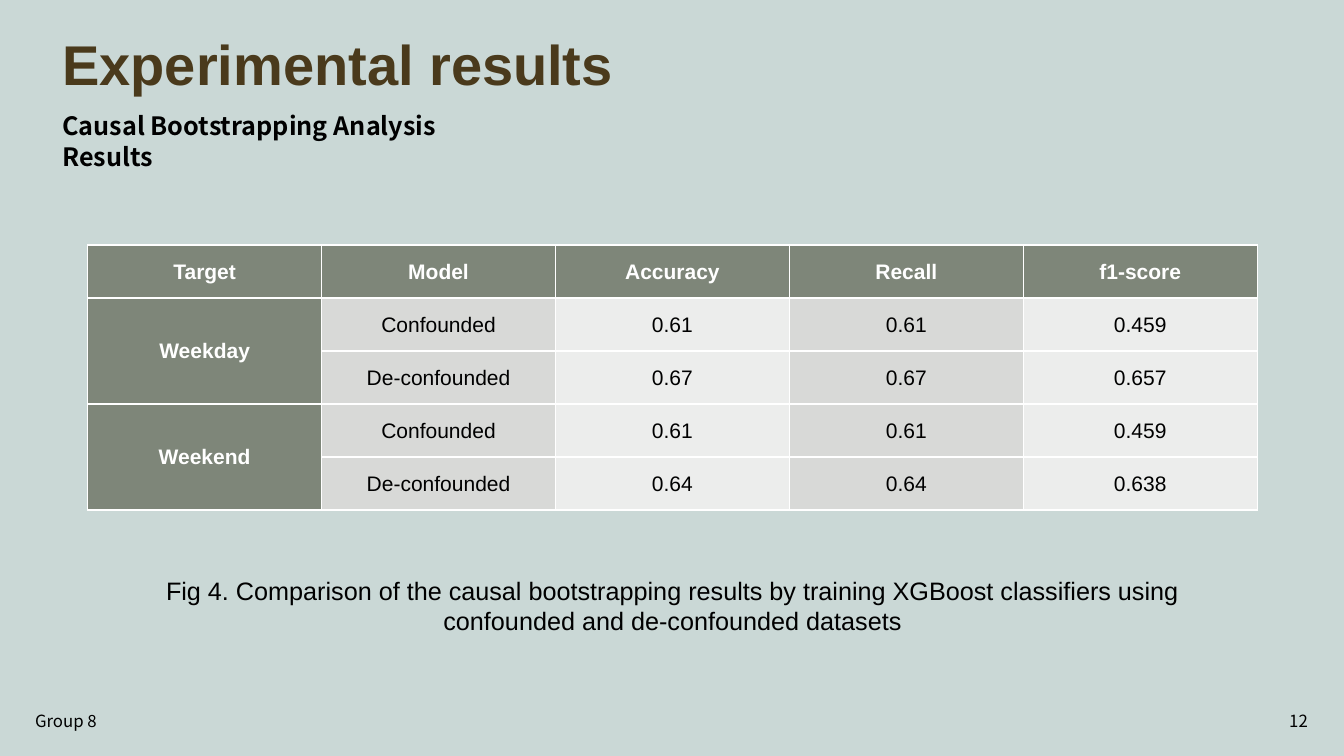
from lxml.etree import SubElement
from pptx import Presentation
from pptx.dml.color import RGBColor
from pptx.enum.text import MSO_ANCHOR, PP_ALIGN
from pptx.oxml.ns import qn
from pptx.util import Inches, Pt

COLORS = {
    "back": "CAD8D6",
    "head": "7E8679",
    "dark": "D8D9D7",
    "light": "ECEDEC",
    "title": "4A3A1C",
    "black": "000000",
    "white": "FFFFFF",
}
SANS = "Arial"
NOTO = "Noto Sans CJK SC"
ROWS = [
    ["Target", "Model", "Accuracy", "Recall", "f1-score"],
    ["Weekday", "Confounded", "0.61", "0.61", "0.459"],
    ["", "De-confounded", "0.67", "0.67", "0.657"],
    ["Weekend", "Confounded", "0.61", "0.61", "0.459"],
    ["", "De-confounded", "0.64", "0.64", "0.638"],
]


def rgb(name):
    return RGBColor.from_string(COLORS[name])


def write(frame, text, size=18, font=SANS, color="black", bold=False,
          align=PP_ALIGN.LEFT, space=1.0):
    para = frame.paragraphs[0]
    para.alignment = align
    para.line_spacing = space
    run = para.add_run()
    run.text = text
    run.font.size = Pt(size)
    run.font.name = font
    run.font.bold = bold
    run.font.color.rgb = rgb(color)


def add_text(slide, box, text, anchor=MSO_ANCHOR.MIDDLE, **style):
    frame = slide.shapes.add_textbox(*map(Inches, box)).text_frame
    frame.word_wrap = True
    frame.vertical_anchor = anchor
    write(frame, text, **style)


def add_edge(cell, side, width):
    props = cell._tc.get_or_add_tcPr()
    line = SubElement(props, qn(f"a:ln{side}"), w=str(Pt(width)))
    fill = SubElement(line, qn("a:solidFill"))
    SubElement(fill, qn("a:srgbClr"), val=COLORS["white"])


def style_cell(cell, text, row, col):
    head = row == 0 or col == 0
    thick = {(0, "B"), (1, "T")}
    for side in "LRTB":
        add_edge(cell, side, 1.5 if (row, side) in thick else 1)
    cell.fill.solid()
    cell.fill.fore_color.rgb = rgb("head" if head else "dark" if col % 2 else "light")
    cell.margin_left = cell.margin_right = cell.margin_top = Inches(0.01)
    cell.margin_bottom = 0
    cell.vertical_anchor = MSO_ANCHOR.MIDDLE
    write(cell.text_frame, text, size=15, bold=head,
          color="white" if head else "black", align=PP_ALIGN.CENTER)


def add_grid(slide, box, rows):
    shape = slide.shapes.add_table(len(rows), len(rows[0]), *map(Inches, box))
    table = shape.table
    for top in range(1, len(rows), 2):
        table.cell(top, 0).merge(table.cell(top + 1, 0))
    for row, texts in enumerate(rows):
        for col, text in enumerate(texts):
            cell = table.cell(row, col)
            if not cell.is_spanned:
                style_cell(cell, text, row, col)


def main():
    deck = Presentation()
    deck.slide_width = Inches(13.33)
    deck.slide_height = Inches(7.5)
    slide = deck.slides.add_slide(deck.slide_layouts[6])
    slide.background.fill.solid()
    slide.background.fill.fore_color.rgb = rgb("back")

    add_text(slide, (0.25, 6.95, 4.5, 0.4), "Group 8", size=12, font=NOTO)
    add_text(slide, (10.07, 6.95, 3, 0.4), "12", size=12, font=NOTO,
             align=PP_ALIGN.RIGHT)
    add_grid(slide, (0.87, 2.43, 11.6, 2.63), ROWS)
    add_text(slide, (0.87, 5.66, 11.6, 0.71),
             "Fig 4. Comparison of the causal bootstrapping results by training "
             "XGBoost classifiers using confounded and de-confounded datasets",
             anchor=MSO_ANCHOR.TOP, align=PP_ALIGN.CENTER)
    add_text(slide, (0.52, 0.28, 6.15, 0.78), "Experimental results", size=40,
             color="title", bold=True, space=0.9)
    add_text(slide, (0.52, 1.05, 4.63, 0.4), "Causal Bootstrapping Analysis Results",
             anchor=MSO_ANCHOR.TOP, font=NOTO, bold=True)
    deck.save("out.pptx")


if __name__ == "__main__":
    main()
